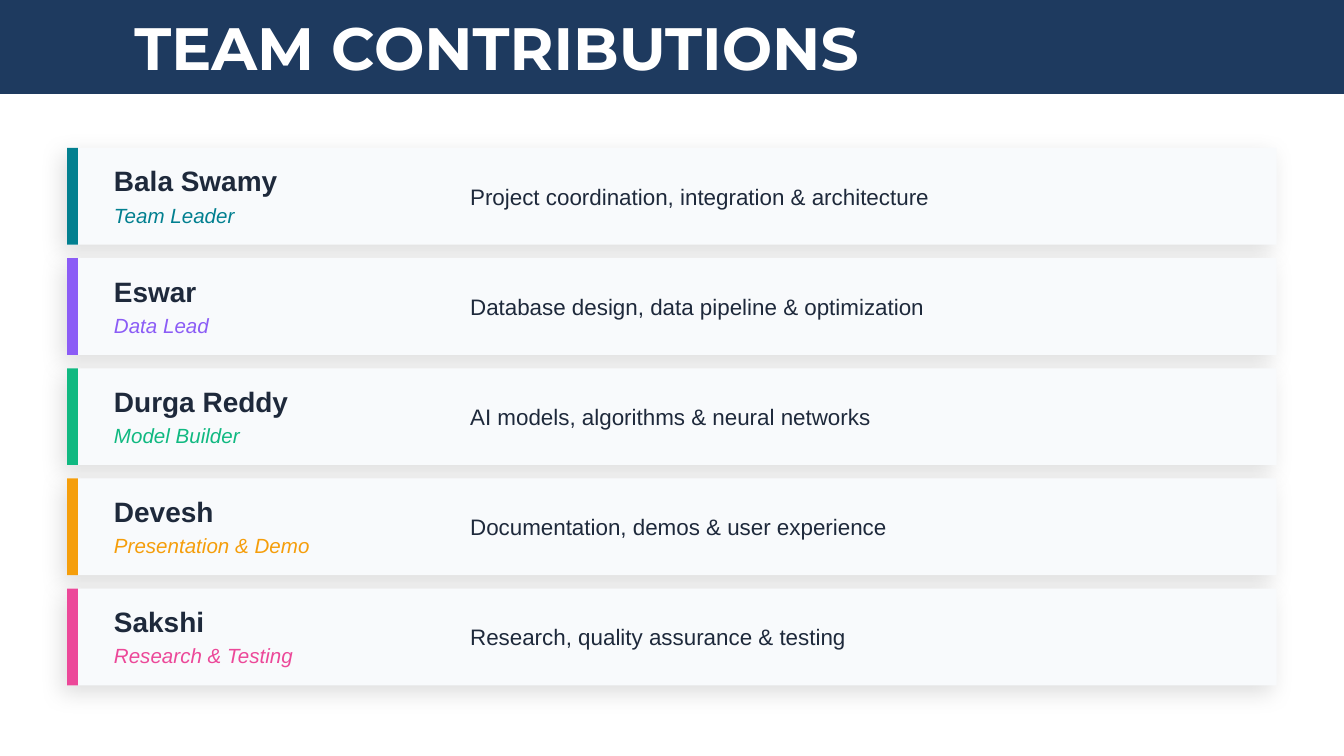
from lxml import etree
from pptx import Presentation
from pptx.dml.color import RGBColor
from pptx.enum.shapes import MSO_SHAPE
from pptx.enum.text import MSO_ANCHOR
from pptx.oxml.ns import qn
from pptx.util import Inches, Pt

RECTANGLE = MSO_SHAPE.RECTANGLE
MIDDLE = MSO_ANCHOR.MIDDLE

NAVY = "1E3A5F"
WHITE = "FFFFFF"
CARD_FILL = "F8FAFC"
INK = "1E293B"

PAGE_WIDTH = 10
PAGE_HEIGHT = PAGE_WIDTH * 9 / 16
CARD_LEFT, CARD_TOP = 0.5, 1.1
CARD_WIDTH, CARD_HEIGHT = 9, 0.72
CARD_STEP = 0.82

MEMBERS = [
    ("Bala Swamy", "Team Leader",
     "Project coordination, integration & architecture", "028090"),
    ("Eswar", "Data Lead",
     "Database design, data pipeline & optimization", "8B5CF6"),
    ("Durga Reddy", "Model Builder",
     "AI models, algorithms & neural networks", "10B981"),
    ("Devesh", "Presentation & Demo",
     "Documentation, demos & user experience", "F59E0B"),
    ("Sakshi", "Research & Testing",
     "Research, quality assurance & testing", "EC4899"),
]


def color(hex_code):
    """Turn a hex string into an RGB colour."""
    return RGBColor.from_string(hex_code)


def add_rectangle(page, left, top, width, height, fill):
    """Add a flat, borderless rectangle."""
    shape = page.shapes.add_shape(
        RECTANGLE, Inches(left), Inches(top), Inches(width), Inches(height))
    shape.shadow.inherit = False
    shape.fill.solid()
    shape.fill.fore_color.rgb = color(fill)
    shape.line.fill.background()
    return shape


def add_soft_shadow(shape, blur=12, distance=5, angle=135, opacity=12):
    """Give a shape a blurred, mostly transparent black shadow."""
    effects = shape.element.spPr.find(qn("a:effectLst"))
    shadow = etree.SubElement(
        effects, qn("a:outerShdw"), blurRad=str(Pt(blur)), dist=str(Pt(distance)),
        dir=str(angle * 60000), algn="bl", rotWithShape="0")
    tint = etree.SubElement(shadow, qn("a:srgbClr"), val="000000")
    etree.SubElement(tint, qn("a:alpha"), val=str(opacity * 1000))


def add_text(page, text, left, top, width, height, *, size, fill=INK,
             font="Arial", bold=False, italic=False, inset=None):
    """Add a vertically centred line of text."""
    box = page.shapes.add_textbox(
        Inches(left), Inches(top), Inches(width), Inches(height))
    frame = box.text_frame
    frame.word_wrap = True
    frame.vertical_anchor = MIDDLE
    if inset is not None:
        frame.margin_left = frame.margin_right = Inches(inset)
        frame.margin_top = frame.margin_bottom = Inches(inset)
    span = frame.paragraphs[0].add_run()
    span.text = text
    span.font.name = font
    span.font.size = Pt(size)
    span.font.bold = bold
    span.font.italic = italic
    span.font.color.rgb = color(fill)


def add_header(page):
    """Add the title band."""
    add_rectangle(page, 0, 0, PAGE_WIDTH, 0.7, NAVY)
    add_text(page, "TEAM CONTRIBUTIONS", 1, 0.15, 8.5, 0.4, size=32,
             fill=WHITE, font="Montserrat", bold=True, inset=0)


def add_member_card(page, top, name, role, duties, accent):
    """Add one member's card with its accent bar and texts."""
    card = add_rectangle(page, CARD_LEFT, top, CARD_WIDTH, CARD_HEIGHT, CARD_FILL)
    add_soft_shadow(card)
    add_rectangle(page, CARD_LEFT, top, 0.08, CARD_HEIGHT, accent)
    add_text(page, name, 0.75, top + 0.12, 2.5, 0.25, size=15, bold=True)
    add_text(page, role, 0.75, top + 0.4, 2.5, 0.2, size=11, fill=accent, italic=True)
    add_text(page, duties, 3.4, top + 0.18, 5.9, 0.36, size=12)


def main():
    """Build and save the team slide."""
    deck = Presentation()
    deck.slide_width, deck.slide_height = Inches(PAGE_WIDTH), Inches(PAGE_HEIGHT)
    page = deck.slides.add_slide(deck.slide_layouts[6])
    page.background.fill.solid()
    page.background.fill.fore_color.rgb = color(WHITE)
    add_header(page)
    for index, member in enumerate(MEMBERS):
        add_member_card(page, CARD_TOP + index * CARD_STEP, *member)
    deck.save("out.pptx")


if __name__ == "__main__":
    main()
